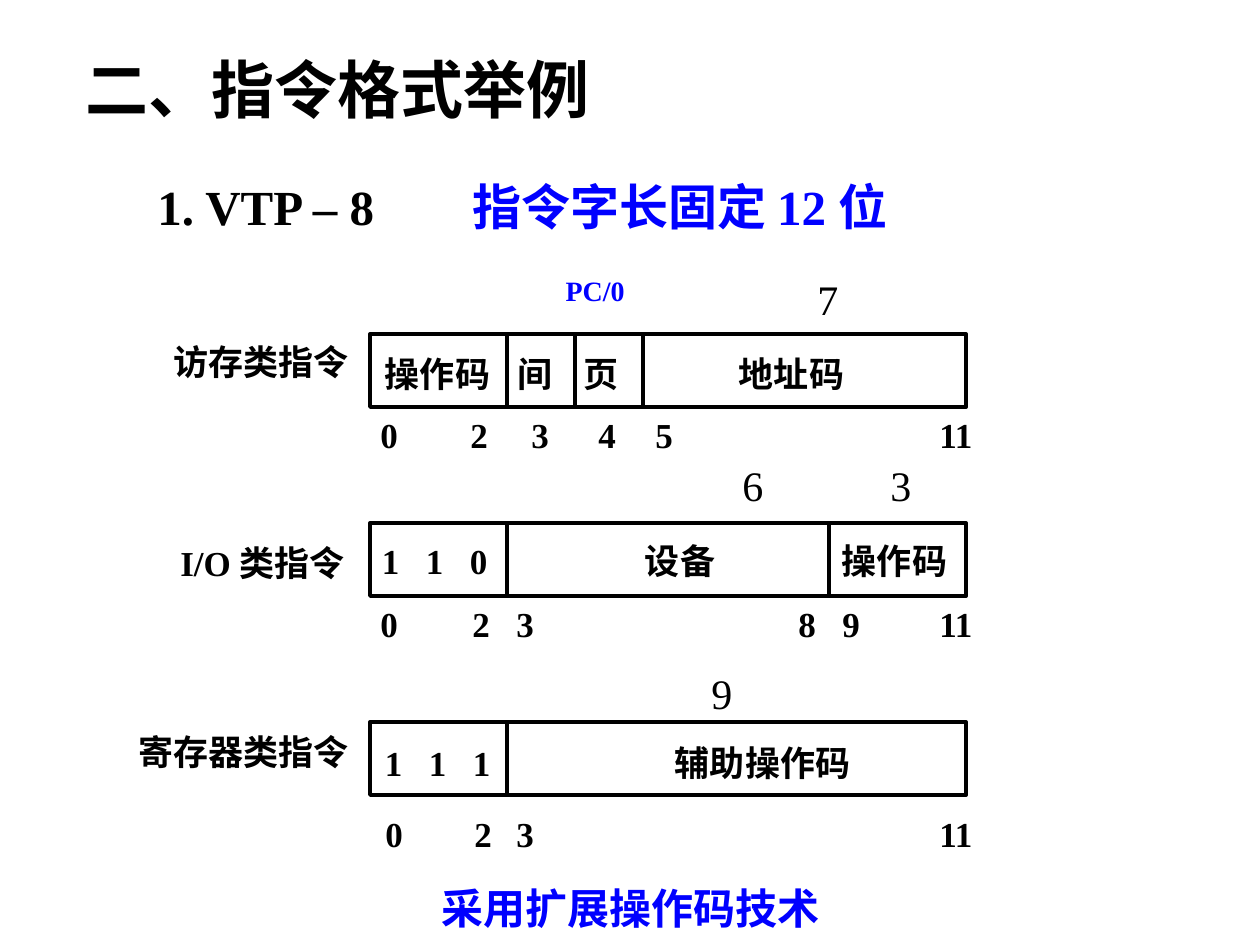
from dataclasses import dataclass

from lxml import etree
from pptx import Presentation
from pptx.dml.color import RGBColor
from pptx.enum.shapes import MSO_CONNECTOR, MSO_SHAPE
from pptx.enum.text import MSO_AUTO_SIZE, PP_ALIGN
from pptx.oxml.ns import qn
from pptx.util import Emu, Pt

PIXEL = 914400 / 126


@dataclass(frozen=True)
class Theme:
    """Colours, font and type sizes of the slide."""
    ink: RGBColor = RGBColor(0, 0, 0)
    accent: RGBColor = RGBColor(0, 0, 255)
    font: str = "Times New Roman"
    title: int = 36
    heading: int = 28
    large: int = 24
    body: int = 20
    note: int = 16
    line: float = 2.25


theme = Theme()


def px(*lengths):
    """Turn pixel lengths into a list of EMU lengths."""
    return [Emu(round(length * PIXEL)) for length in lengths]


def add_text(shapes, text, place, size, color=theme.ink, bold=True, wrap=False):
    """Add a one-paragraph text box and return its paragraph."""
    box = shapes.add_textbox(*px(*place))
    box.text_frame.word_wrap = wrap
    box.text_frame.auto_size = MSO_AUTO_SIZE.SHAPE_TO_FIT_TEXT
    para = box.text_frame.paragraphs[0]
    para.text = text
    para.font.name = theme.font
    para.font.size = Pt(size)
    para.font.bold = bold
    para.font.color.rgb = color
    return para


deck = Presentation()
deck.slide_width, deck.slide_height = px(1260, 945)
page = deck.slides.add_slide(deck.slide_layouts[6])

add_text(page.shapes, "二、指令格式举例", (73, 44, 645, 88), theme.title, wrap=True)
add_text(page.shapes, "1. VTP – 8", (145, 170, 242, 72), theme.heading)
add_text(page.shapes, "指令字长固定 12 位", (460, 170, 548, 72), theme.heading,
         theme.accent, wrap=True)

# Each format: frame top, label with its place, dividers, fields, bit numbers
FRAME_LEFT, FRAME_WIDTH, FRAME_HEIGHT = 370, 596, 73
TEXT_HEIGHT = 55
formats = [
    dict(top=334, label=("访存类指令", 161, 334, 203), dividers=(507, 575, 643),
         field_top=346,
         fields={385: "操作码", 518: "间", 584: "页", 739: "地址码"},
         bits={368: "0", 458: "2", 519: "3", 586: "4", 643: "5", 927: "11"}),
    dict(top=523, label=("I/O 类指令", 168, 535, 200), dividers=(507, 829),
         field_top=533,
         fields={382: "1", 426: "1", 470: "0", 645: "设备", 842: "操作码"},
         bits={368: "0", 460: "2", 504: "3", 786: "8", 830: "9", 927: "11"}),
    dict(top=722, label=("寄存器类指令", 126, 724, 238), dividers=(507,),
         field_top=735,
         fields={385: "1", 429: "1", 473: "1", 675: "辅助操作码"},
         bits={373: "0", 462: "2", 504: "3", 927: "11"}),
]
bit_tops = (407, 596, 806)

for row, bit_top in zip(formats, bit_tops):
    shapes = page.shapes.add_group_shape().shapes
    top, bottom = row["top"], row["top"] + FRAME_HEIGHT

    frame = shapes.add_shape(MSO_SHAPE.RECTANGLE,
                             *px(FRAME_LEFT, top, FRAME_WIDTH, FRAME_HEIGHT))
    frame.shadow.inherit = False
    frame.fill.background()
    frame.line.color.rgb = theme.ink
    frame.line.width = Pt(theme.line)

    for x in row["dividers"]:
        divider = shapes.add_connector(MSO_CONNECTOR.STRAIGHT, *px(x, top, x, bottom))
        divider.line.color.rgb = theme.ink
        divider.line.width = Pt(theme.line)
        etree.SubElement(divider._element.spPr, qn("a:effectLst"))

    label, label_left, label_top, label_width = row["label"]
    add_text(shapes, label, (label_left, label_top, label_width, TEXT_HEIGHT), theme.body)

    # Tab stops set the start of every field after the first
    start, *stops = row["fields"]
    para = add_text(shapes, "\t".join(row["fields"].values()),
                    (start, row["field_top"], 1000 - start, TEXT_HEIGHT),
                    theme.body, wrap=True)
    shapes[-1].text_frame.margin_left = 0
    tabs = etree.Element(qn("a:tabLst"))
    for stop in stops:
        etree.SubElement(tabs, qn("a:tab"), pos=str(px(stop - start)[0]), algn="l")
    para.font._element.addprevious(tabs)

    for left, bit in row["bits"].items():
        width = 43 if len(bit) == 1 else 60
        add_text(shapes, bit, (left, bit_top, width, TEXT_HEIGHT), theme.body)

closing = add_text(page.shapes, "采用扩展操作码技术", (429, 869, 756, 71), theme.large,
                   theme.accent, wrap=True)
closing.line_spacing = 1.15

page_bit = add_text(page.shapes, "PC/0", (553, 267, 84, 47), theme.note, theme.accent)
page_bit.alignment = PP_ALIGN.RIGHT

for count, left, top in [("7", 805, 267), ("6", 730, 453), ("3", 878, 453), ("9", 699, 661)]:
    para = add_text(page.shapes, count, (left, top, 45, 63), theme.large, bold=False)
    para.alignment = PP_ALIGN.RIGHT

deck.save("out.pptx")
